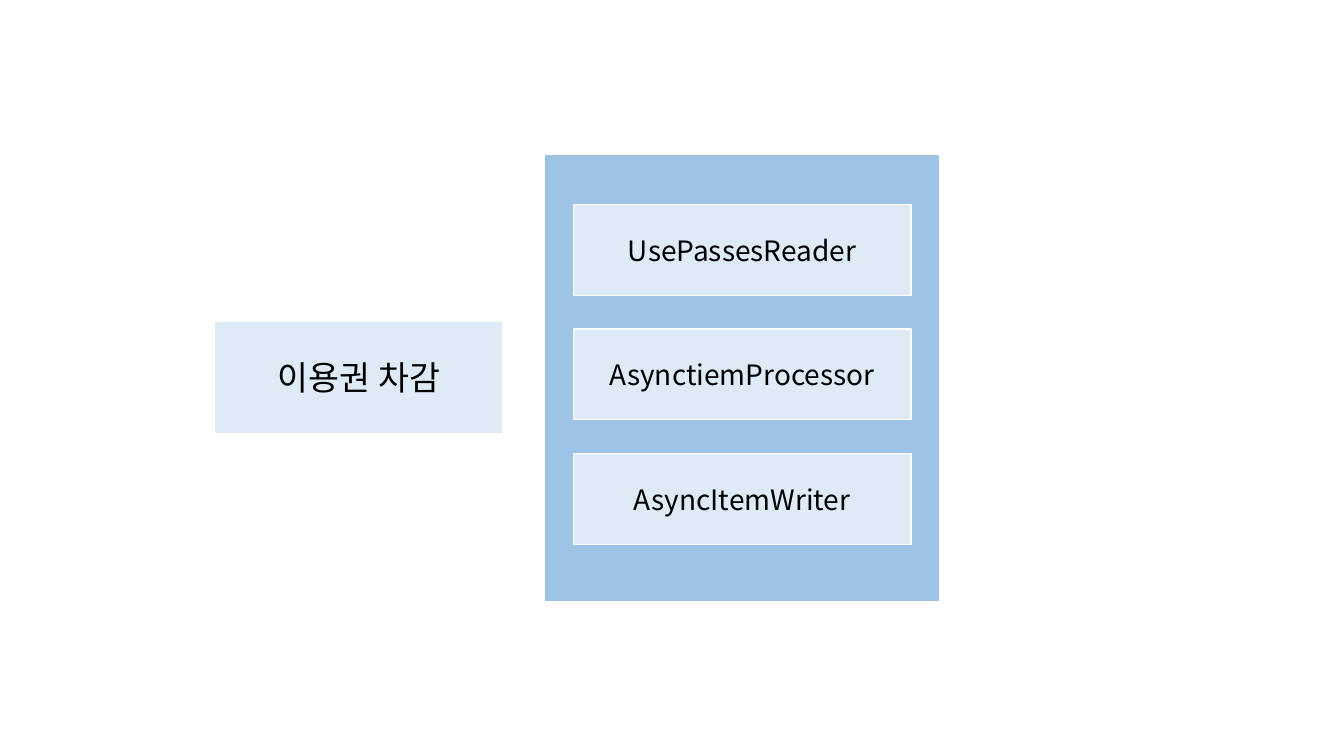
import lxml.etree
import pptx
import pptx.dml.color
import pptx.enum.shapes
import pptx.enum.text
import pptx.oxml.ns
import pptx.util

Inches = pptx.util.Inches
Pt = pptx.util.Pt
RGBColor = pptx.dml.color.RGBColor

BLUE = RGBColor(0x9D, 0xC3, 0xE6)
PALE = RGBColor(0xDE, 0xEB, 0xF7)
WHITE = RGBColor(0xFF, 0xFF, 0xFF)
BLACK = RGBColor(0x00, 0x00, 0x00)
FONT = "Noto Sans CJK KR"
STEPS = ("UsePassesReader", "AsynctiemProcessor", "AsyncItemWriter")


def add_box(shapes, left, top, width, height, fill):
    """Add a flat rectangle with a thin white outline."""
    box = shapes.add_shape(
        pptx.enum.shapes.MSO_SHAPE.RECTANGLE,
        Inches(left), Inches(top), Inches(width), Inches(height))
    box.shadow.inherit = False
    box.fill.solid()
    box.fill.fore_color.rgb = fill
    box.line.color.rgb = WHITE
    box.line.width = Pt(1)
    return box


def add_label(shapes, left, top, width, height, text, size):
    """Add a pale box with centred text."""
    box = add_box(shapes, left, top, width, height, PALE)
    frame = box.text_frame
    frame.vertical_anchor = pptx.enum.text.MSO_ANCHOR.MIDDLE
    frame.text = text
    para = frame.paragraphs[0]
    para.alignment = pptx.enum.text.PP_ALIGN.CENTER
    font = para.font
    font.name = FONT
    font.size = Pt(size)
    font.color.rgb = BLACK
    props = para._p.pPr.find(pptx.oxml.ns.qn("a:defRPr"))
    asian = lxml.etree.SubElement(props, pptx.oxml.ns.qn("a:ea"))
    asian.set("typeface", FONT)


def add_steps(slide, left, top, width, height):
    """Add the grouped panel with its evenly spaced steps."""
    shapes = slide.shapes.add_group_shape().shapes
    add_box(shapes, left, top, width, height, BLUE)
    side, head, pitch, tall = 0.285, 0.5, 1.235, 0.9
    for row, name in enumerate(STEPS):
        add_label(shapes, left + side, top + head + row * pitch,
                  width - 2 * side, tall, name, 20)


def main():
    """Build and save the slide."""
    deck = pptx.Presentation()
    deck.slide_width = Inches(13.33)
    deck.slide_height = Inches(7.5)
    slide = deck.slides.add_slide(deck.slide_layouts[6])
    add_steps(slide, 5.4, 1.53, 3.92, 4.44)
    add_label(slide.shapes, 2.13, 3.19, 2.86, 1.11, "이용권 차감", 24)
    deck.save("out.pptx")


if __name__ == "__main__":
    main()
